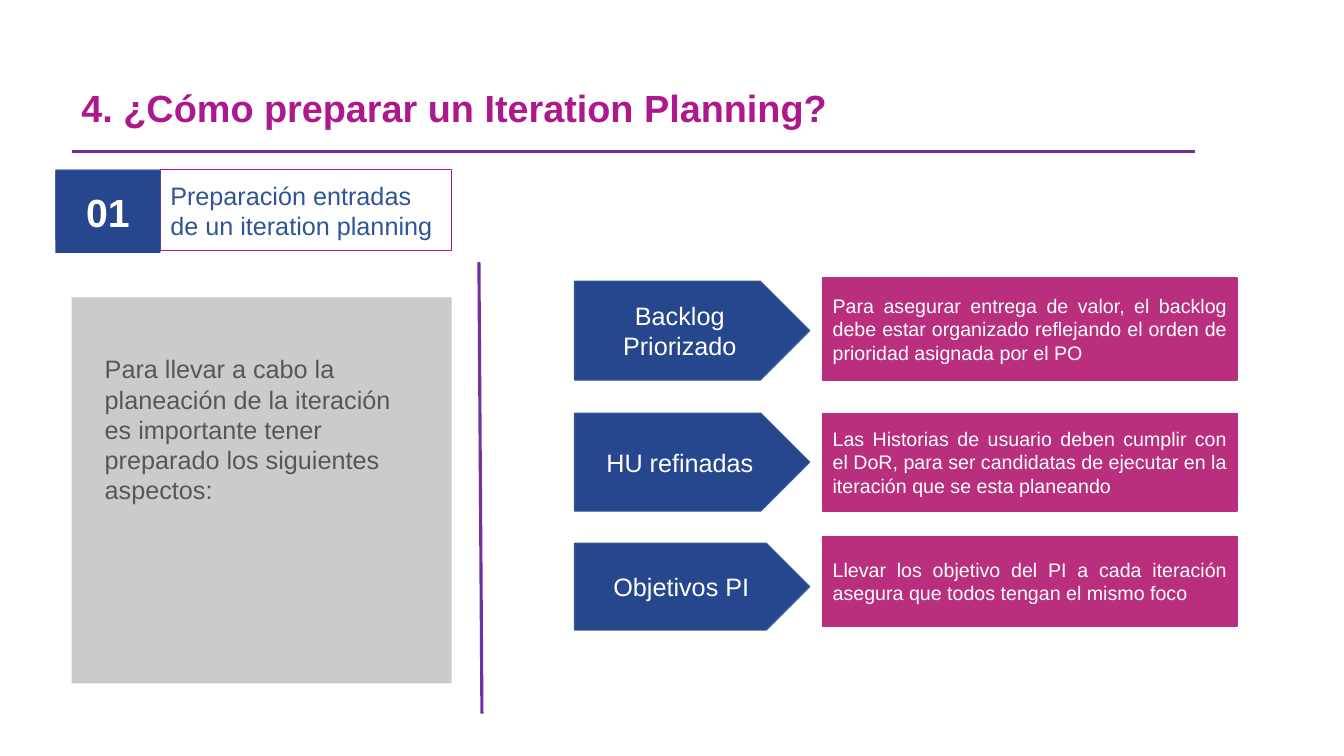
from lxml.etree import SubElement
from pptx import Presentation
from pptx.dml.color import RGBColor
from pptx.enum.shapes import MSO_CONNECTOR, MSO_SHAPE as SHAPE
from pptx.enum.text import MSO_ANCHOR as ANCHOR, PP_ALIGN as ALIGN
from pptx.oxml.ns import qn
from pptx.util import Emu, Pt

WHITE = RGBColor(0xFF, 0xFF, 0xFF)
MAGENTA = RGBColor(0xAD, 0x19, 0x8D)
PINK = RGBColor(0xBA, 0x2F, 0x7D)
PURPLE = RGBColor(0x70, 0x30, 0xA0)
NAVY = RGBColor(0x26, 0x47, 0x8D)
NAVY_EDGE = RGBColor(0x32, 0x54, 0x91)
BLUE = RGBColor(0x44, 0x72, 0xC4)
HEADING_BLUE = RGBColor(0x2F, 0x55, 0x97)
GREY = RGBColor(0xBF, 0xBF, 0xBF)
TEXT_GREY = RGBColor(0x57, 0x57, 0x56)

PX = 9144
ARROW_LEFT, ARROW_WIDTH = 570, 233
DETAIL_LEFT, DETAIL_WIDTH = 816, 411

ASPECTS = [
    ("Backlog Priorizado", 279, 98,
     "Para asegurar entrega de valor, el backlog debe estar organizado "
     "reflejando el orden de prioridad asignada por el PO", 276, 101),
    ("HU refinadas", 410, 97,
     "Las Historias de usuario deben cumplir con el DoR, para ser candidatas "
     "de ejecutar en la iteración que se esta planeando", 410, 97),
    ("Objetivos PI", 539, 86,
     "Llevar los objetivo del PI a cada iteración asegura que todos tengan "
     "el mismo foco", 532, 89),
]


def write(shape, text, size=18, color=WHITE, bold=False, align=ALIGN.LEFT,
          anchor=ANCHOR.MIDDLE, wrap=True, spacing=None):
    """Put one formatted paragraph into a shape."""
    frame = shape.text_frame
    frame.word_wrap = wrap
    frame.vertical_anchor = anchor
    paragraph = frame.paragraphs[0]
    paragraph.alignment = align
    paragraph.line_spacing = spacing
    run = paragraph.add_run()
    run.text = text
    run.font.name = "Arial"
    run.font.size = Pt(size)
    run.font.bold = bold
    run.font.color.rgb = color


class SlideBuilder:
    """Draws styled elements on one slide, with lengths in px."""

    def __init__(self, slide):
        self.shapes = slide.shapes

    def paint(self, shape, fill=None, line=None, line_width=1, opacity=None):
        """Set the fill and outline of a shape."""
        shape.shadow.inherit = False
        if fill is None:
            shape.fill.background()
        else:
            shape.fill.solid()
            shape.fill.fore_color.rgb = fill
        if opacity is not None:
            color = shape._element.spPr.find(f"{qn('a:solidFill')}/{qn('a:srgbClr')}")
            SubElement(color, qn("a:alpha"), val=str(opacity * 1000))
        if line is None:
            shape.line.fill.background()
        else:
            shape.line.color.rgb = line
            shape.line.width = Pt(line_width)
        return shape

    def box(self, kind, left, top, width, height, **style):
        """Add a preset shape."""
        frame = [Emu(n * PX) for n in (left, top, width, height)]
        return self.paint(self.shapes.add_shape(kind, *frame), **style)

    def label(self, left, top, width, height, text, **format):
        """Add a text box."""
        frame = [Emu(n * PX) for n in (left, top, width, height)]
        write(self.shapes.add_textbox(*frame), text, **format)

    def outline(self, points, **style):
        """Add a closed polygon."""
        builder = self.shapes.build_freeform(*points[0], scale=PX)
        builder.add_line_segments(points[1:], close=True)
        return self.paint(builder.convert_to_shape(), **style)

    def rule(self, start, end):
        """Add a straight purple line."""
        ends = [Emu(n * PX) for n in (*start, *end)]
        line = self.shapes.add_connector(MSO_CONNECTOR.STRAIGHT, *ends)
        line.line.color.rgb = PURPLE
        line.line.width = Pt(2.25)
        SubElement(line._element.spPr, qn("a:effectLst"))


def main():
    """Build the slide and save it."""
    deck = Presentation()
    deck.slide_width, deck.slide_height = Emu(1333 * PX), Emu(750 * PX)
    page = SlideBuilder(deck.slides.add_slide(deck.slide_layouts[6]))

    heading = page.box(SHAPE.RECTANGLE, 159, 168, 289, 81, line=MAGENTA, line_width=0.75)
    write(heading, "Preparación entradas de un iteration planning", color=HEADING_BLUE)
    page.box(SHAPE.RECTANGLE, 71, 295, 377, 383, fill=GREY, opacity=80)
    page.label(71, 79, 1033, 61, "4. ¿Cómo preparar un Iteration Planning?",
               size=27, color=MAGENTA, bold=True, spacing=0.9)
    page.rule((71, 150), (1185, 150))

    backing = page.outline([(159, 250), (67, 250), (58, 247), (55, 238),
                            (55, 168), (159, 168)], fill=BLUE)
    number = page.box(SHAPE.RECTANGLE, 55, 169, 104, 82, fill=NAVY)
    write(number, "01", size=28, bold=True, align=ALIGN.CENTER, wrap=False)
    page.shapes.add_group_shape([backing, number])

    page.label(94, 346, 322, 162,
               "Para llevar a cabo la planeación de la iteración es importante "
               "tener preparado los siguientes aspectos:",
               color=TEXT_GREY, anchor=ANCHOR.TOP)
    page.rule((478, 708), (475, 260))

    for aspect, arrow_top, arrow_height, reason, detail_top, detail_height in ASPECTS:
        arrow = page.box(SHAPE.PENTAGON, ARROW_LEFT, arrow_top, ARROW_WIDTH,
                         arrow_height, fill=NAVY, line=NAVY_EDGE)
        write(arrow, aspect, align=ALIGN.CENTER)
        detail = page.box(SHAPE.FLOWCHART_PROCESS, DETAIL_LEFT, detail_top,
                          DETAIL_WIDTH, detail_height, fill=PINK, line=PINK)
        write(detail, reason, size=14, align=ALIGN.JUSTIFY)

    deck.save("out.pptx")


if __name__ == "__main__":
    main()
